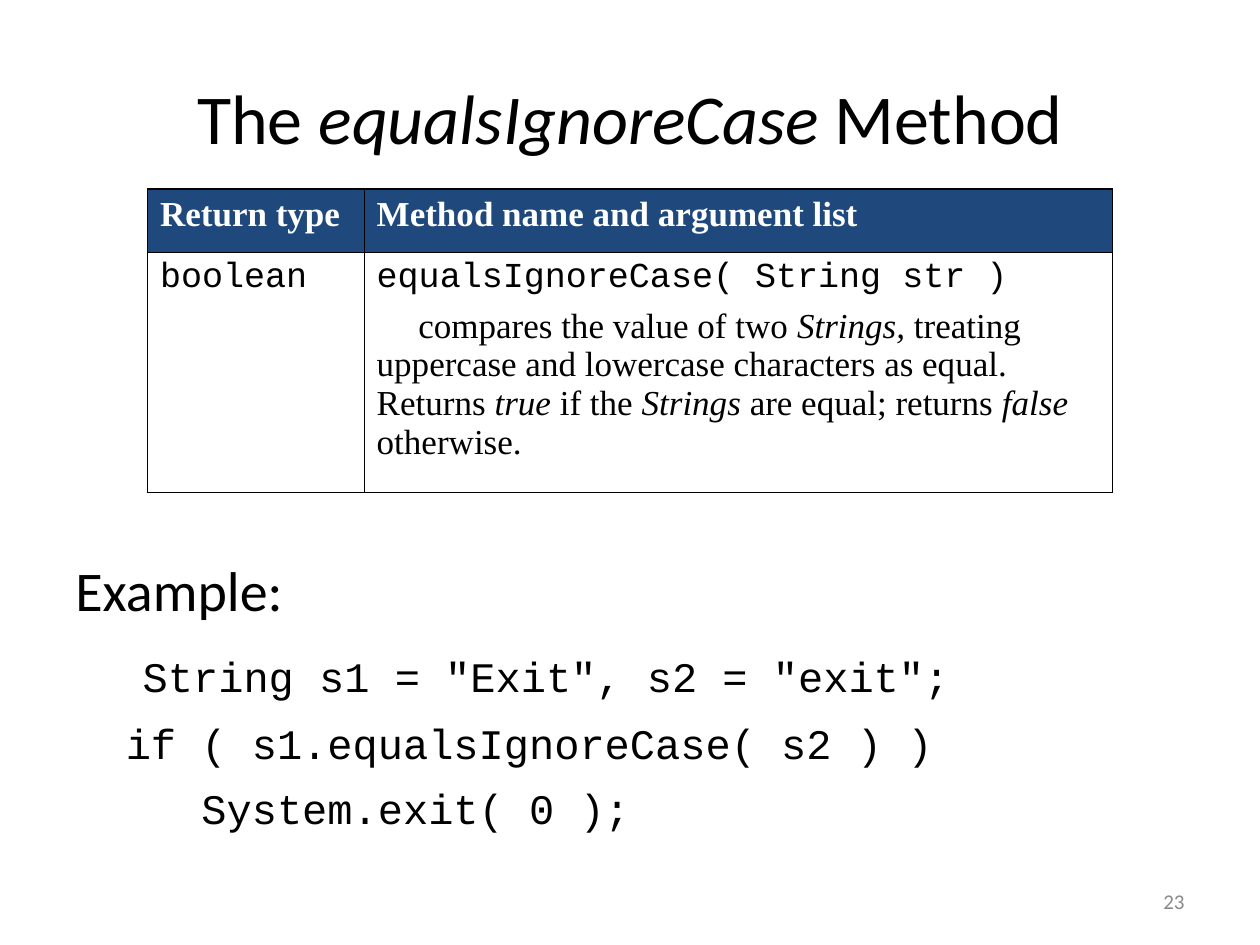
"""Build the slide on the equalsIgnoreCase method."""
from dataclasses import dataclass

import pptx
import pptx.dml.color
import pptx.enum.text
import pptx.oxml
import pptx.oxml.ns
import pptx.util
from pptx.util import Inches

BODY_FONT = "Calibri"
CODE_FONT = "Courier New"
TABLE_FONT = "Times New Roman"
BLACK = "000000"
WHITE = "FFFFFF"
NAVY = "1F497D"
GRAY = "898989"
OUTER_LINE = 1.08
INNER_LINE = 0.45


@dataclass
class Run:
    text: str
    italic: bool = False
    size: float | None = None


@dataclass
class Line:
    runs: list[Run]
    font: str
    size: float
    color: str = BLACK
    bold: bool = False
    before: float = 0
    indent: float = 0
    align: str = "LEFT"


def rgb(color: str) -> pptx.dml.color.RGBColor:
    return pptx.dml.color.RGBColor.from_string(color)


def write_lines(frame, lines: list[Line], anchor: str = "TOP") -> None:
    frame.word_wrap = True
    frame.vertical_anchor = pptx.enum.text.MSO_ANCHOR[anchor]
    for index, line in enumerate(lines):
        paragraph = frame.add_paragraph() if index else frame.paragraphs[0]
        paragraph.alignment = pptx.enum.text.PP_ALIGN[line.align]
        paragraph.space_before = pptx.util.Pt(line.before)
        if line.indent:
            paragraph._p.get_or_add_pPr().set("indent", str(Inches(line.indent)))
        paragraph.font.name = line.font
        paragraph.font.size = pptx.util.Pt(line.size)
        paragraph.font.bold = line.bold
        paragraph.font.color.rgb = rgb(line.color)
        for item in line.runs:
            run = paragraph.add_run()
            run.text = item.text
            if item.italic:
                run.font.italic = True
            if item.size:
                run.font.size = pptx.util.Pt(item.size)


def add_text(slide, left: float, top: float, width: float, height: float,
             lines: list[Line], anchor: str = "TOP") -> None:
    box = slide.shapes.add_textbox(Inches(left), Inches(top), Inches(width), Inches(height))
    write_lines(box.text_frame, lines, anchor)


def set_borders(cell, widths: dict[str, float]) -> None:
    properties = cell._tc.get_or_add_tcPr()
    for position, (side, width) in enumerate(widths.items()):
        border = pptx.oxml.parse_xml(
            f'<a:{side} {pptx.oxml.ns.nsdecls("a")} w="{pptx.util.Pt(width)}">'
            f'<a:solidFill><a:srgbClr val="{BLACK}"/></a:solidFill></a:{side}>')
        properties.insert(position, border)


def add_method_table(slide, rows: list[list[list[Line]]]) -> None:
    shape = slide.shapes.add_table(2, 2, Inches(1.17), Inches(1.5), Inches(7.66), Inches(2.41))
    table = shape.table
    table.first_row = table.horz_banding = False
    for column, width in zip(table.columns, (1.72, 5.94)):
        column.width = Inches(width)
    for row, height in zip(table.rows, (0.5, 1.91)):
        row.height = Inches(height)
    for row_index, row in enumerate(rows):
        for column_index, lines in enumerate(row):
            cell = table.cell(row_index, column_index)
            if row_index == 0:
                cell.fill.solid()
                cell.fill.fore_color.rgb = rgb(NAVY)
            else:
                cell.fill.background()
            write_lines(cell.text_frame, lines)
            set_borders(cell, {
                "lnL": INNER_LINE if column_index else OUTER_LINE,
                "lnR": OUTER_LINE if column_index else INNER_LINE,
                "lnT": INNER_LINE if row_index else OUTER_LINE,
                "lnB": OUTER_LINE if row_index else INNER_LINE,
            })


def main() -> None:
    presentation = pptx.Presentation()
    presentation.slide_width = Inches(10)
    presentation.slide_height = Inches(7.5)
    slide = presentation.slides.add_slide(presentation.slide_layouts[5])

    title = slide.shapes.title
    title.left, title.top = Inches(0.5), Inches(0.3)
    title.width, title.height = Inches(9), Inches(1.25)
    title_runs = [Run("The "), Run("equalsIgnoreCase", italic=True), Run(" Method")]
    write_lines(title.text_frame, [Line(title_runs, BODY_FONT, 40, align="CENTER")], "MIDDLE")

    example = [
        Line([Run("Example:")], BODY_FONT, 32),
        Line([Run("  ", size=32), Run('String s1 = "Exit", s2 = "exit";')],
             CODE_FONT, 24, before=8),
        Line([Run("  if ( s1.equalsIgnoreCase( s2 ) )")], CODE_FONT, 24, before=8),
        Line([Run("     System.exit( 0 );")], CODE_FONT, 24, before=8),
    ]
    add_text(slide, 0.5, 4.36, 9, 2.34, example)

    headers = [[Line([Run(text)], TABLE_FONT, 20, WHITE, bold=True)]
               for text in ("Return type", "Method name and argument list")]
    description = [
        Run("compares the value of two "), Run("Strings,", italic=True),
        Run(" treating uppercase and lowercase characters as equal. Returns "),
        Run("true ", italic=True), Run("if the "), Run("Strings ", italic=True),
        Run("are equal; returns "), Run("false ", italic=True), Run("otherwise."),
    ]
    method = [
        Line([Run("equalsIgnoreCase( String str )")], CODE_FONT, 20),
        Line(description, TABLE_FONT, 20, before=5, indent=0.33),
    ]
    add_method_table(slide, [headers, [[Line([Run("boolean")], CODE_FONT, 20)], method]])

    number = Line([Run("23")], BODY_FONT, 12, GRAY, align="RIGHT")
    add_text(slide, 7.17, 6.95, 2.33, 0.4, [number], "MIDDLE")
    presentation.save("out.pptx")


if __name__ == "__main__":
    main()
